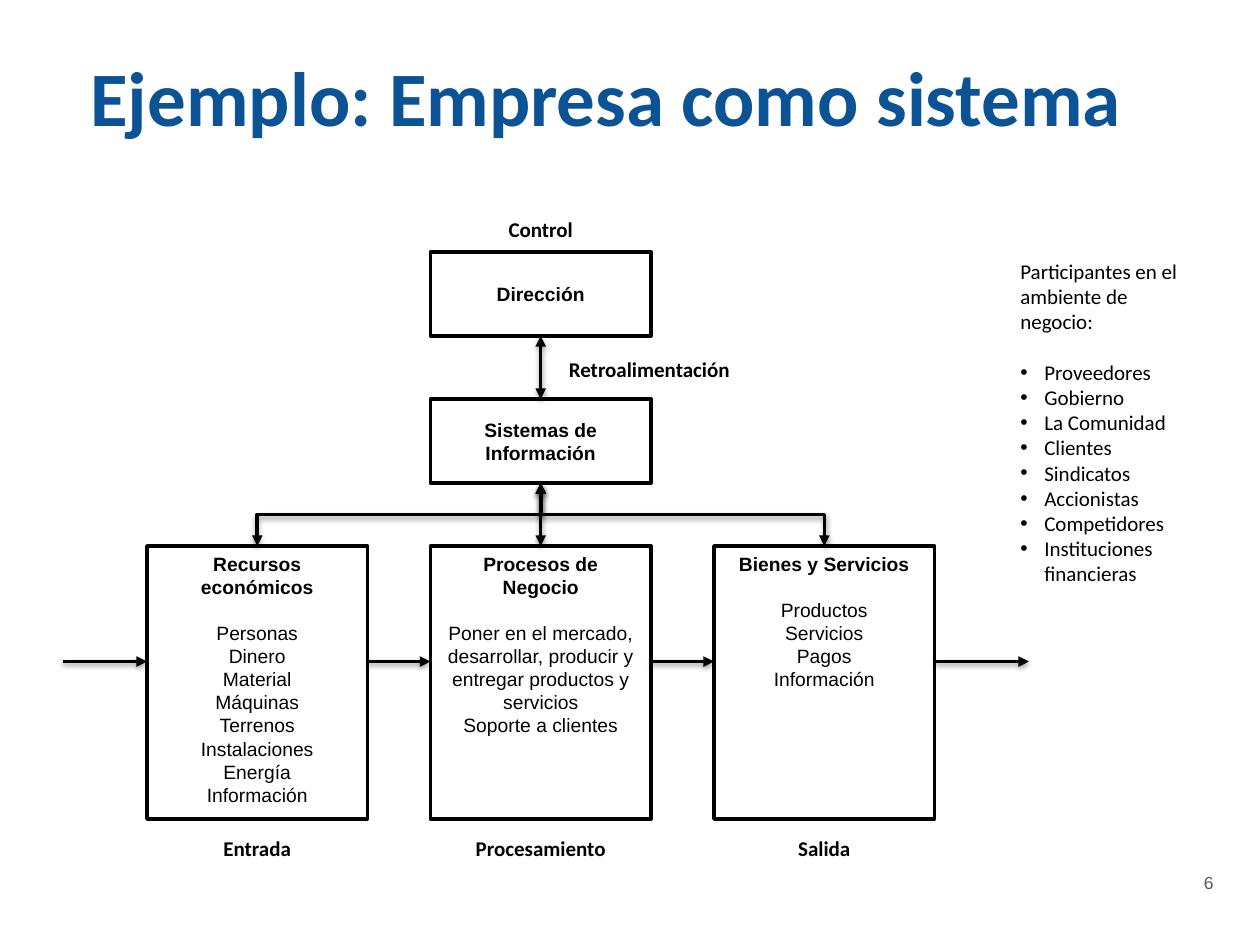
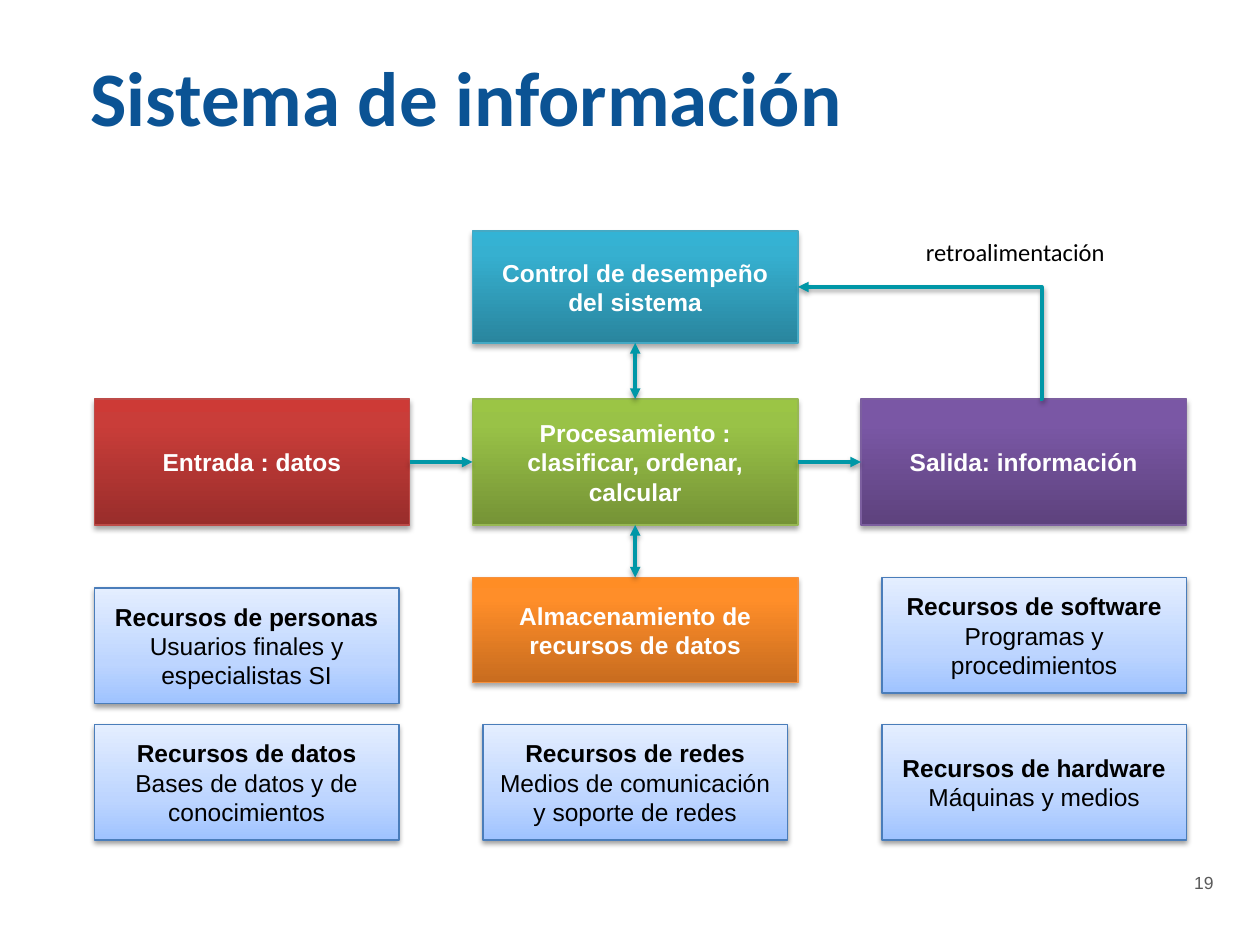
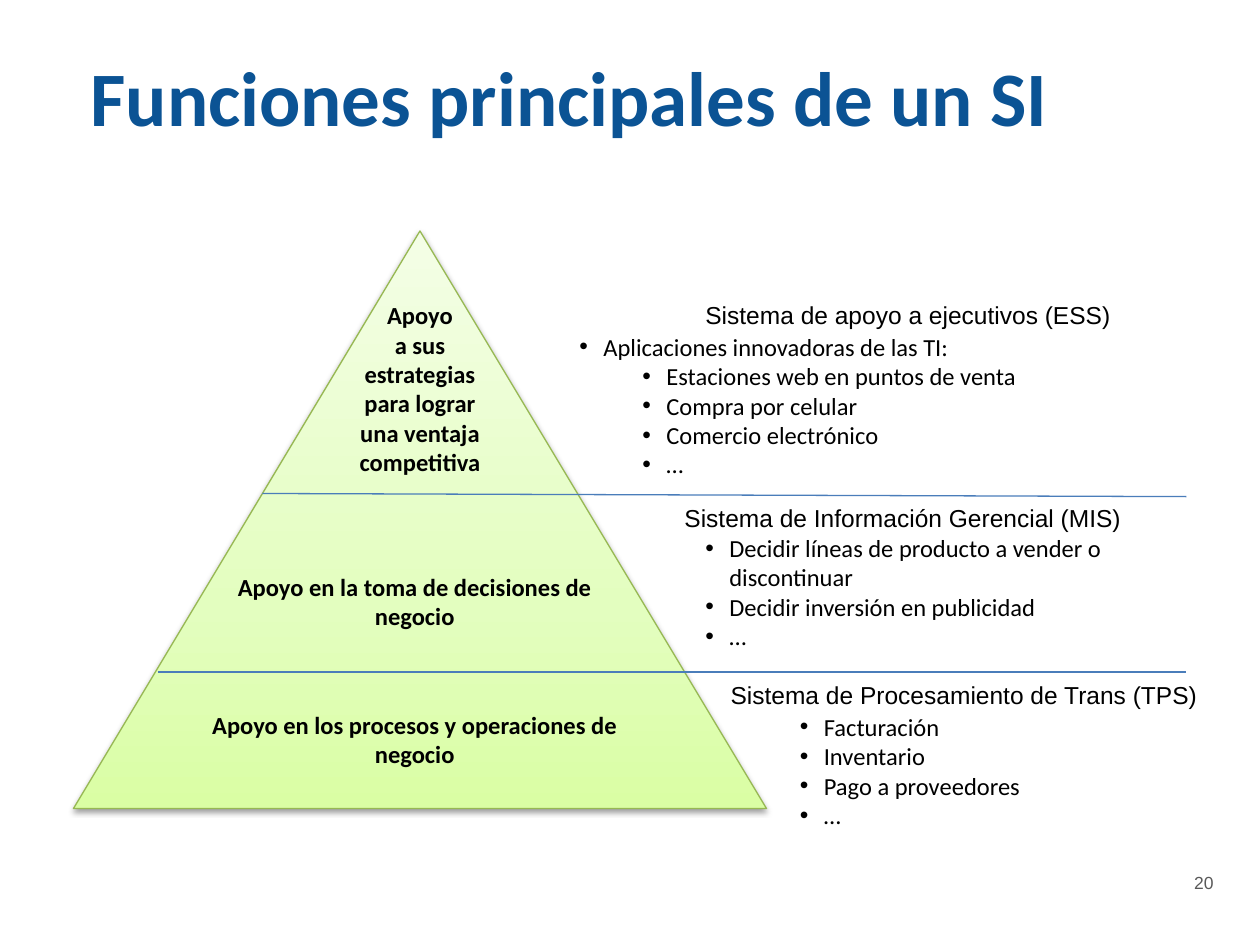
from copy import deepcopy

from lxml.etree import SubElement
from pptx import Presentation
from pptx.dml.color import RGBColor
from pptx.enum.shapes import MSO_CONNECTOR, MSO_SHAPE
from pptx.enum.text import MSO_ANCHOR, PP_ALIGN
from pptx.oxml.ns import qn
from pptx.util import Inches, Pt

# Palette
BLACK = RGBColor(0x00, 0x00, 0x00)
WHITE = RGBColor(0xFF, 0xFF, 0xFF)
TITLE_BLUE = RGBColor(0x0B, 0x53, 0x94)
PAGE_GREY = RGBColor(0x59, 0x59, 0x59)
TEAL = RGBColor(0x00, 0x97, 0xA7)
RULE_BLUE = RGBColor(0x4A, 0x7D, 0xBA)
LEAF = RGBColor(0x97, 0xB8, 0x53)


def gradient(middle, *codes):
    """Three stops from bottom to top."""
    colours = [RGBColor.from_string(code) for code in codes]
    return list(zip((0, middle, 1), colours))


# Gradient and outline of each kind of box
CYAN_BOX = gradient(0.8, "29859E", "36B0D0", "33B3D5"), RGBColor(0x45, 0xA9, 0xC4)
GREEN_BOX = gradient(0.8, "759336", "99C247", "9BC545"), LEAF
PURPLE_BOX = gradient(0.8, "5D427D", "7A57A5", "7A56A7"), RGBColor(0x7C, 0x5F, 0x9F)
RED_BOX = gradient(0.8, "992D2B", "C93D39", "CD3A36"), RGBColor(0xBD, 0x4B, 0x48)
ORANGE_BOX = gradient(0.8, "C86C1F", "FF8E29", "FF8D25"), RGBColor(0xF5, 0x91, 0x3F)
RESOURCE_BOX = gradient(0.35, "9FC3FF", "BDD5FF", "E4EEFF"), RULE_BLUE
PYRAMID = gradient(0.35, "DAFEA4", "E3FEBF", "F4FEE6"), LEAF

# Shadow opacity in percent and distance in points
SOFT, STRONG = (38, 1.6), (35, 1.8)
ALL = 99  # more paragraphs than any text has
INDENT = 0.19


def grid(*cells):
    """Grid of 120 columns by 90 rows, twelve to the inch."""
    return [Inches(c / 12) for c in cells]


def add_shadow(effects, opacity, distance):
    shadow = SubElement(effects, qn("a:outerShdw"), blurRad=str(Pt(3.1)),
                        dist=str(Pt(distance)), dir="5400000", rotWithShape="0")
    colour = SubElement(shadow, qn("a:srgbClr"), val="000000")
    SubElement(colour, qn("a:alpha"), val=str(opacity * 1000))


class Deck:
    def __init__(self):
        self.prs = Presentation()
        self.prs.slide_width, self.prs.slide_height = grid(120, 90)
        self.shapes = None

    def slide(self, title, number):
        self.shapes = self.prs.slides.add_slide(self.prs.slide_layouts[6]).shapes
        self.label(7.44, 2.4, 106.3, 13.44, [title], size=44, color=TITLE_BLUE,
                   bold=ALL, anchor=MSO_ANCHOR.MIDDLE)
        self.label(109.56, 80.64, 7.2, 6.84, [number], size=10, font="Arial",
                   color=PAGE_GREY, align=PP_ALIGN.RIGHT, anchor=MSO_ANCHOR.MIDDLE)

    def fill_text(self, s, lines, size=14, font="Calibri", color=BLACK, bold=0,
                  align=PP_ALIGN.LEFT, anchor=MSO_ANCHOR.TOP, gap=0,
                  bullets=ALL, sub=ALL, wrap=True):
        """bold: how many paragraphs are bold; gap: points above the second one;
        bullets, sub: where first and second level bullets begin."""
        tf = s.text_frame
        tf.word_wrap, tf.vertical_anchor = wrap, anchor
        for i, line in enumerate(lines):
            p = tf.add_paragraph() if i else tf.paragraphs[0]
            p.text, p.alignment = line, align
            if i == 1 and gap:
                p.space_before = Pt(gap)
            if i >= bullets:
                self.bullet(p, i >= sub)
            for r in p.runs:
                r.font.size, r.font.name = Pt(size), font
                r.font.bold, r.font.color.rgb = i < bold, color

    def bullet(self, p, level):
        p.level = int(level)
        pPr = p._p.get_or_add_pPr()
        pPr.set("marL", str(Inches(INDENT + 0.5 * level)))
        pPr.set("indent", str(-Inches(INDENT)))
        SubElement(SubElement(pPr, qn("a:buClr")), qn("a:srgbClr"), val=str(BLACK))
        SubElement(pPr, qn("a:buFont"), typeface="Arial")
        SubElement(pPr, qn("a:buChar"), char="•")

    def label(self, x, y, w, h, lines, **style):
        self.fill_text(self.shapes.add_textbox(*grid(x, y, w, h)), lines, **style)

    def outline_box(self, x, y, w, h, lines, **style):
        s = self.shapes.add_shape(MSO_SHAPE.RECTANGLE, *grid(x, y, w, h))
        s.shadow.inherit = False
        s.fill.solid()
        s.fill.fore_color.rgb = WHITE
        s.line.color.rgb, s.line.width = BLACK, Pt(2)
        self.fill_text(s, lines, size=11, font="Arial", align=PP_ALIGN.CENTER, **style)

    def gradient_shape(self, x, y, w, h, look, shadow=SOFT, kind=MSO_SHAPE.RECTANGLE):
        stops, outline = look
        s = self.shapes.add_shape(kind, *grid(x, y, w, h))
        s.fill.gradient()
        s.fill.gradient_angle = 90
        gs_list = s._element.spPr.find(".//" + qn("a:gsLst"))
        gs_list.insert(1, deepcopy(gs_list[0]))
        for stop, (position, colour) in zip(s.fill.gradient_stops, stops):
            stop.position, stop.color.rgb = position, colour
        s.line.color.rgb, s.line.width = outline, Pt(0.75)
        s.shadow.inherit = False
        add_shadow(s._element.spPr.find(qn("a:effectLst")), *shadow)
        return s

    def gradient_box(self, x, y, w, h, look, lines, color=WHITE, bold=ALL, shadow=STRONG):
        s = self.gradient_shape(x, y, w, h, look, shadow)
        self.fill_text(s, lines, font="Arial", color=color, bold=bold,
                       align=PP_ALIGN.CENTER, anchor=MSO_ANCHOR.MIDDLE)

    def line(self, x1, y1, x2, y2, color=BLACK, width=2, ends=("tail",),
             kind=MSO_CONNECTOR.STRAIGHT):
        c = self.shapes.add_connector(kind, *grid(x1, y1, x2, y2))
        c.line.color.rgb, c.line.width = color, Pt(width)
        spPr = c._element.spPr
        for end in ends:
            SubElement(spPr.find(qn("a:ln")), qn(f"a:{end}End"), type="triangle")
        effects = SubElement(spPr, qn("a:effectLst"))
        if ends:
            add_shadow(effects, *SOFT)
        return c

    def elbow(self, x1, y1, x2, y2, turn, bend=0.5, **style):
        """Bent line that leaves its start in the direction turned by turn degrees."""
        w, h = abs(x2 - x1), abs(y2 - y1)
        if turn % 180:
            w, h = h, w
        x, y = (x1 + x2 - w) / 2, (y1 + y2 - h) / 2
        c = self.line(x, y, x + w, y + h, kind=MSO_CONNECTOR.ELBOW, **style)
        spPr = c._element.spPr
        spPr.xfrm.set("rot", str(turn * 60000))
        if turn == 270:
            spPr.xfrm.set("flipH", "1")
        SubElement(spPr.find(".//" + qn("a:avLst")), qn("a:gd"), name="adj1",
                   fmla=f"val {round(bend * 100000)}")


BOTH = ("head", "tail")


def company_slide(deck):
    deck.slide("Ejemplo: Empresa como sistema", "6")
    left, step, width = 14, 27, 21
    middle = left + step
    axis = middle + width / 2
    caption = dict(size=12, bold=ALL)

    # Control and information system
    for y, name in ((24, "Dirección"), (38, "Sistemas de Información")):
        deck.outline_box(middle, y, width, 8, [name], bold=ALL, anchor=MSO_ANCHOR.MIDDLE)
    deck.line(axis, 32, axis, 38, ends=BOTH)
    deck.label(middle, 20, width, 3.6, ["Control"], align=PP_ALIGN.CENTER, **caption)
    deck.label(53, 33.36, 24, 3.6, ["Retroalimentación"], **caption)

    # Input, process and output
    stages = [
        ("Entrada", ["Recursos económicos", "Personas", "Dinero", "Material", "Máquinas",
                     "Terrenos", "Instalaciones", "Energía", "Información"]),
        ("Procesamiento", ["Procesos de Negocio",
                           "Poner en el mercado, desarrollar, producir y entregar "
                           "productos y servicios", "Soporte a clientes"]),
        ("Salida", ["Bienes y Servicios", "Productos", "Servicios", "Pagos", "Información"]),
    ]
    for i, (name, lines) in enumerate(stages):
        x = left + i * step
        deck.outline_box(x, 52, width, 26, lines, bold=1, gap=13)
        deck.label(x, 79, width, 3.6, [name], align=PP_ALIGN.CENTER, **caption)

    # Flows
    deck.elbow(axis, 46, axis - step, 52, 90, ends=BOTH)
    deck.elbow(axis, 46, axis + step, 52, 270, ends=BOTH)
    deck.line(axis, 46, axis, 52, ends=BOTH)
    for start, end in ((6, 14), (35, 41), (62, 68), (89, 98)):
        deck.line(start, 63, end, 63)

    # Environment
    deck.label(96, 24, 19, 35.16,
               ["Participantes en el ambiente de negocio:", "Proveedores", "Gobierno",
                "La Comunidad", "Clientes", "Sindicatos", "Accionistas", "Competidores",
                "Instituciones financieras"], size=12, gap=14.6, bullets=1)


def information_slide(deck):
    deck.slide("Sistema de información", "19")

    # System boxes
    for x, y, w, h, look, lines in (
        (45, 22, 31, 10.67, CYAN_BOX, ["Control de desempeño", "del sistema"]),
        (45, 38, 31, 12, GREEN_BOX, ["Procesamiento : clasificar, ordenar, calcular"]),
        (82, 38, 31, 12, PURPLE_BOX, ["Salida: información"]),
        (9, 38, 30, 12, RED_BOX, ["Entrada : datos"]),
        (45, 55, 31, 10, ORANGE_BOX, ["Almacenamiento de", "recursos de datos"]),
    ):
        deck.gradient_box(x, y, w, h, look, lines)

    # Resource boxes
    for x, y, name, detail in (
        (9, 56, "personas", "Usuarios finales y especialistas SI"),
        (9, 69, "datos", "Bases de datos y de conocimientos"),
        (84, 69, "hardware", "Máquinas y medios"),
        (46, 69, "redes", "Medios de comunicación y soporte de redes"),
        (84, 55, "software", "Programas y procedimientos"),
    ):
        deck.gradient_box(x, y, 29, 11, RESOURCE_BOX, [f"Recursos de {name}", detail],
                          color=BLACK, bold=1, shadow=SOFT)

    # Flows
    for top, bottom in ((32.67, 38), (50, 55)):
        deck.line(60.5, top, 60.5, bottom, color=TEAL, ends=BOTH)
    for start in (39, 76):
        deck.line(start, 44, start + 6, 44, color=TEAL)
    deck.elbow(99, 38, 76, 27.33, 180, bend=-0.01, color=TEAL)
    deck.label(87, 22, 20.16, 4.08, ["retroalimentación"])


def functions_slide(deck):
    deck.slide("Funciones principales de un SI", "20")

    # Pyramid and its levels
    pyramid = deck.gradient_shape(7, 22, 66, 55, PYRAMID, kind=MSO_SHAPE.ISOSCELES_TRIANGLE)
    pyramid.adjustments[0] = 0.5
    for x, y, w, h, lines in (
        (18, 67, 43, 6.84, ["Apoyo en los procesos y operaciones de negocio"]),
        (21, 53.88, 37, 6.84, ["Apoyo en la toma de decisiones de negocio"]),
        (31, 28, 18, 18.12, ["Apoyo", "a sus estrategias", "para lograr",
                             "una ventaja competitiva"]),
    ):
        deck.label(x, y, w, h, lines, bold=ALL, align=PP_ALIGN.CENTER)
    for x, y, end in ((15, 64, 64), (25, 47, 47.3)):
        deck.line(x, y, 113, end, color=RULE_BLUE, width=0.75, ends=())

    # Kinds of system: heading and examples
    for x, y, w, h, lines, sub in (
        (75, 67.2, 36, 12.48, ["Facturación", "Inventario", "Pago a proveedores", "…"], ALL),
        (66, 50.16, 48, 12.48, ["Decidir líneas de producto a vender o discontinuar",
                                "Decidir inversión en publicidad", "…"], ALL),
        (54, 31, 57, 15.36, ["Aplicaciones innovadoras de las TI:",
                             "Estaciones web en puntos de venta", "Compra por celular",
                             "Comercio electrónico", "…"], 1),
    ):
        deck.label(x, y, w, h, lines, bullets=0, sub=sub)
    for x, y, w, name in (
        (66, 28, 41.28, "Sistema de apoyo a ejecutivos (ESS)"),
        (64, 47.28, 44.16, "Sistema de Información Gerencial (MIS)"),
        (68.4, 64.2, 47.16, "Sistema de Procesamiento de Trans (TPS)"),
    ):
        deck.label(x, y, w, 4.08, [name], font="Arial", wrap=False)


def main():
    deck = Deck()
    company_slide(deck)
    information_slide(deck)
    functions_slide(deck)
    deck.prs.save("out.pptx")


if __name__ == "__main__":
    main()
